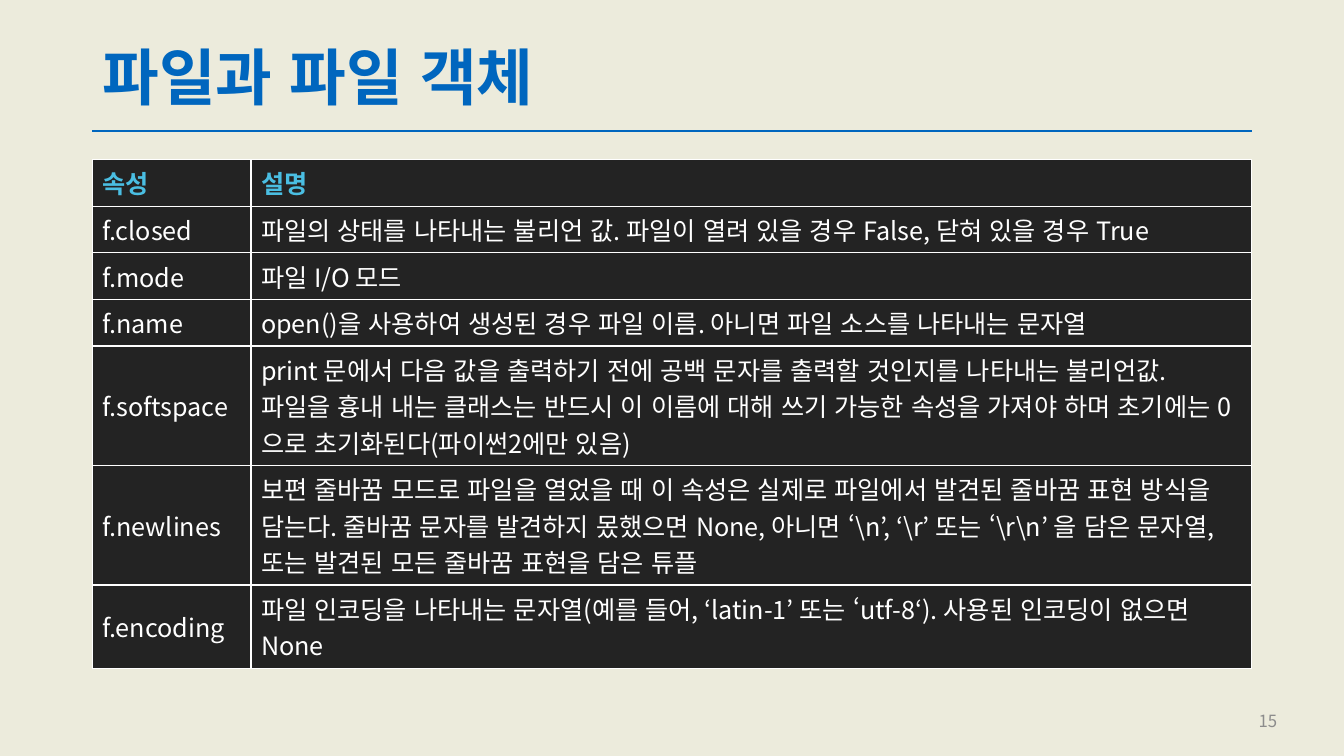
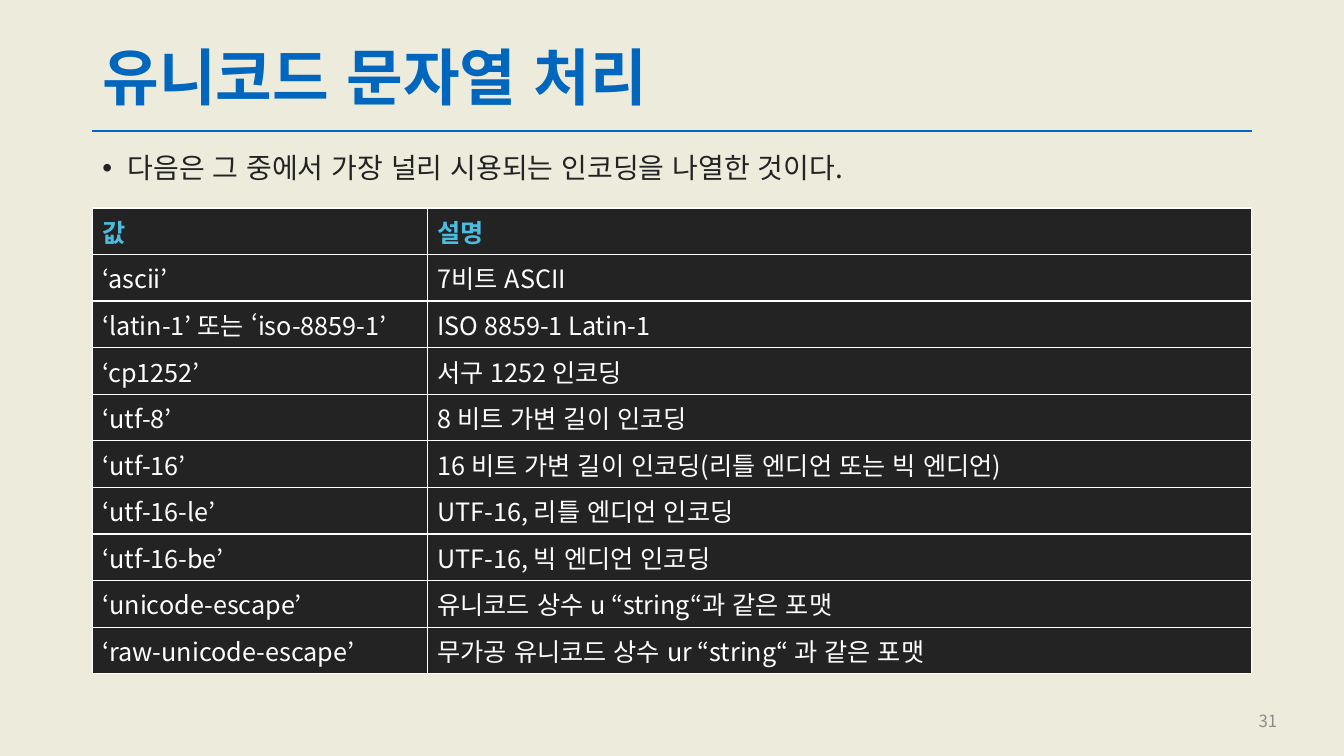
from dataclasses import dataclass

from lxml.etree import SubElement
from pptx import Presentation
from pptx.dml.color import RGBColor
from pptx.enum.lang import MSO_LANGUAGE_ID
from pptx.enum.shapes import MSO_CONNECTOR
from pptx.enum.text import MSO_ANCHOR, MSO_AUTO_SIZE, PP_ALIGN
from pptx.oxml.ns import qn
from pptx.util import Emu, Pt


@dataclass(frozen=True)
class Theme:
    font: str = "Noto Sans CJK KR"
    paper: str = "ECEBDC"
    accent: str = "0066BE"
    ink: str = "232323"
    heading: str = "4ABEE2"
    white: str = "FFFFFF"
    muted: str = "8C8C8C"
    title_size: int = 44
    body_size: int = 20
    cell_size: int = 18
    number_size: int = 12
    rule_width: float = 1.5
    border_width: int = 1


THEME = Theme()
PX = 9525  # 96 px to the inch
PAGE_WIDTH, PAGE_HEIGHT = 1280, 720
LEFT, CONTENT_WIDTH = 88, 1104
RULE_TOP = 125
TITLE_ONLY = 5
HEADER_HEIGHT, ROW_HEIGHT = 37, 42

FILE_ATTRIBUTES = [
    ("속성", "설명"),
    ("f.closed", "파일의 상태를 나타내는 불리언 값. 파일이 열려 있을 경우 False, 닫혀 있을 경우 True"),
    ("f.mode", "파일 I/O 모드"),
    ("f.name", "open()을 사용하여 생성된 경우 파일 이름. 아니면 파일 소스를 나타내는 문자열"),
    ("f.softspace", "print 문에서 다음 값을 출력하기 전에 공백 문자를 출력할 것인지를 나타내는 불리언값. "
     "파일을 흉내 내는 클래스는 반드시 이 이름에 대해 쓰기 가능한 속성을 가져야 하며 "
     "초기에는 0으로 초기화된다(파이썬2에만 있음)"),
    ("f.newlines", "보편 줄바꿈 모드로 파일을 열었을 때 이 속성은 실제로 파일에서 발견된 줄바꿈 표현 방식을 담는다. "
     "줄바꿈 문자를 발견하지 몼했으면 None, 아니면 ‘\\n’, ‘\\r’ 또는 ‘\\r\\n’ 을 담은 문자열, "
     "또는 발견된 모든 줄바꿈 표현을 담은 튜플"),
    ("f.encoding", "파일 인코딩을 나타내는 문자열(예를 들어, ‘latin-1’ 또는 ‘utf-8‘). 사용된 인코딩이 없으면 None"),
]

ENCODINGS = [
    ("값", "설명"),
    ("‘ascii’", "7비트 ASCII"),
    ("‘latin-1’ 또는 ‘iso-8859-1’", "ISO 8859-1 Latin-1"),
    ("‘cp1252’", "서구 1252 인코딩"),
    ("‘utf-8’", "8 비트 가변 길이 인코딩"),
    ("‘utf-16’", "16 비트 가변 길이 인코딩(리틀 엔디언 또는 빅 엔디언)"),
    ("‘utf-16-le’", "UTF-16, 리틀 엔디언 인코딩"),
    ("‘utf-16-be’", "UTF-16, 빅 엔디언 인코딩"),
    ("‘unicode-escape’", "유니코드 상수 u “string“과 같은 포맷"),
    ("‘raw-unicode-escape’", "무가공 유니코드 상수 ur “string“ 과 같은 포맷"),
]


def px(length):
    return Emu(length * PX)


def rgb(color):
    return RGBColor.from_string(color)


def add_span(para, text, size, color, bold=False):
    span = para.add_run()
    span.text = text
    span.font.size = Pt(size)
    span.font.bold = bold
    span.font.color.rgb = rgb(color)
    span.font.name = THEME.font
    # Korean spacing and quotation marks depend on the language
    span.font.language_id = MSO_LANGUAGE_ID.KOREAN
    SubElement(span.font._element, qn("a:ea"), typeface=THEME.font)


def prepare_frame(box, anchor):
    frame = box.text_frame
    frame.word_wrap = True
    frame.auto_size = MSO_AUTO_SIZE.NONE
    frame.vertical_anchor = anchor
    return frame.paragraphs[0]


def add_text_box(page, left, top, width, height, anchor):
    box = page.shapes.add_textbox(px(left), px(top), px(width), px(height))
    return prepare_frame(box, anchor)


def add_page(deck, title, number):
    page = deck.slides.add_slide(deck.slide_layouts[TITLE_ONLY])

    # Title
    box = page.shapes.title
    box.left, box.top, box.width, box.height = map(px, (LEFT, 38, CONTENT_WIDTH, 77))
    para = prepare_frame(box, MSO_ANCHOR.MIDDLE)
    para.alignment = PP_ALIGN.LEFT
    para.line_spacing = 0.9
    add_span(para, title, THEME.title_size, THEME.accent, bold=True)

    # Rule under the title
    rule = page.shapes.add_connector(
        MSO_CONNECTOR.STRAIGHT,
        px(LEFT), px(RULE_TOP), px(LEFT + CONTENT_WIDTH), px(RULE_TOP))
    rule.line.color.rgb = rgb(THEME.accent)
    rule.line.width = Pt(THEME.rule_width)
    SubElement(rule._element.spPr, qn("a:effectLst"))

    # Page number
    para = add_text_box(page, 938, 667, 288, 38, MSO_ANCHOR.MIDDLE)
    para.alignment = PP_ALIGN.RIGHT
    add_span(para, str(number), THEME.number_size, THEME.muted)
    return page


def add_bullet(page, text, top):
    para = add_text_box(page, LEFT, top, 994, 42, MSO_ANCHOR.TOP)
    para.line_spacing = 0.9
    para.space_before = Pt(10)
    properties = para._p.get_or_add_pPr()
    properties.set("marL", str(px(24)))
    properties.set("indent", str(px(-24)))
    SubElement(properties, qn("a:buFont"), typeface="Arial")
    SubElement(properties, qn("a:buChar"), char="•")
    add_span(para, text, THEME.body_size, THEME.ink)


def add_borders(cell):
    properties = cell._tc.get_or_add_tcPr()
    for side in ("lnL", "lnR", "lnT", "lnB"):
        line = SubElement(properties, qn(f"a:{side}"), w=str(Pt(THEME.border_width)))
        fill = SubElement(line, qn("a:solidFill"))
        SubElement(fill, qn("a:srgbClr"), val=THEME.white)


def fill_cell(cell, text, is_header):
    add_borders(cell)
    cell.fill.solid()
    cell.fill.fore_color.rgb = rgb(THEME.ink)
    cell.vertical_anchor = MSO_ANCHOR.MIDDLE
    color = THEME.heading if is_header else THEME.white
    add_span(cell.text_frame.paragraphs[0], text, THEME.cell_size, color, is_header)


def add_grid(page, rows, top, first_width):
    height = HEADER_HEIGHT + ROW_HEIGHT * (len(rows) - 1)
    table = page.shapes.add_table(
        len(rows), 2, px(LEFT), px(top), px(CONTENT_WIDTH), px(height)).table
    table.horz_banding = False
    table.columns[0].width = px(first_width)
    table.columns[1].width = px(CONTENT_WIDTH - first_width)
    for row_index, row in enumerate(rows):
        table.rows[row_index].height = px(ROW_HEIGHT if row_index else HEADER_HEIGHT)
        for column_index, text in enumerate(row):
            fill_cell(table.cell(row_index, column_index), text, row_index == 0)


def main():
    deck = Presentation()
    deck.slide_width, deck.slide_height = px(PAGE_WIDTH), px(PAGE_HEIGHT)
    background = deck.slide_master.background.fill
    background.solid()
    background.fore_color.rgb = rgb(THEME.paper)

    # File object attributes
    page = add_page(deck, "파일과 파일 객체", 15)
    add_grid(page, FILE_ATTRIBUTES, top=152, first_width=151)

    # Common encodings
    page = add_page(deck, "유니코드 문자열 처리", 31)
    add_bullet(page, "다음은 그 중에서 가장 널리 시용되는 인코딩을 나열한 것이다.", top=142)
    add_grid(page, ENCODINGS, top=198, first_width=319)

    deck.save("out.pptx")


if __name__ == "__main__":
    main()
